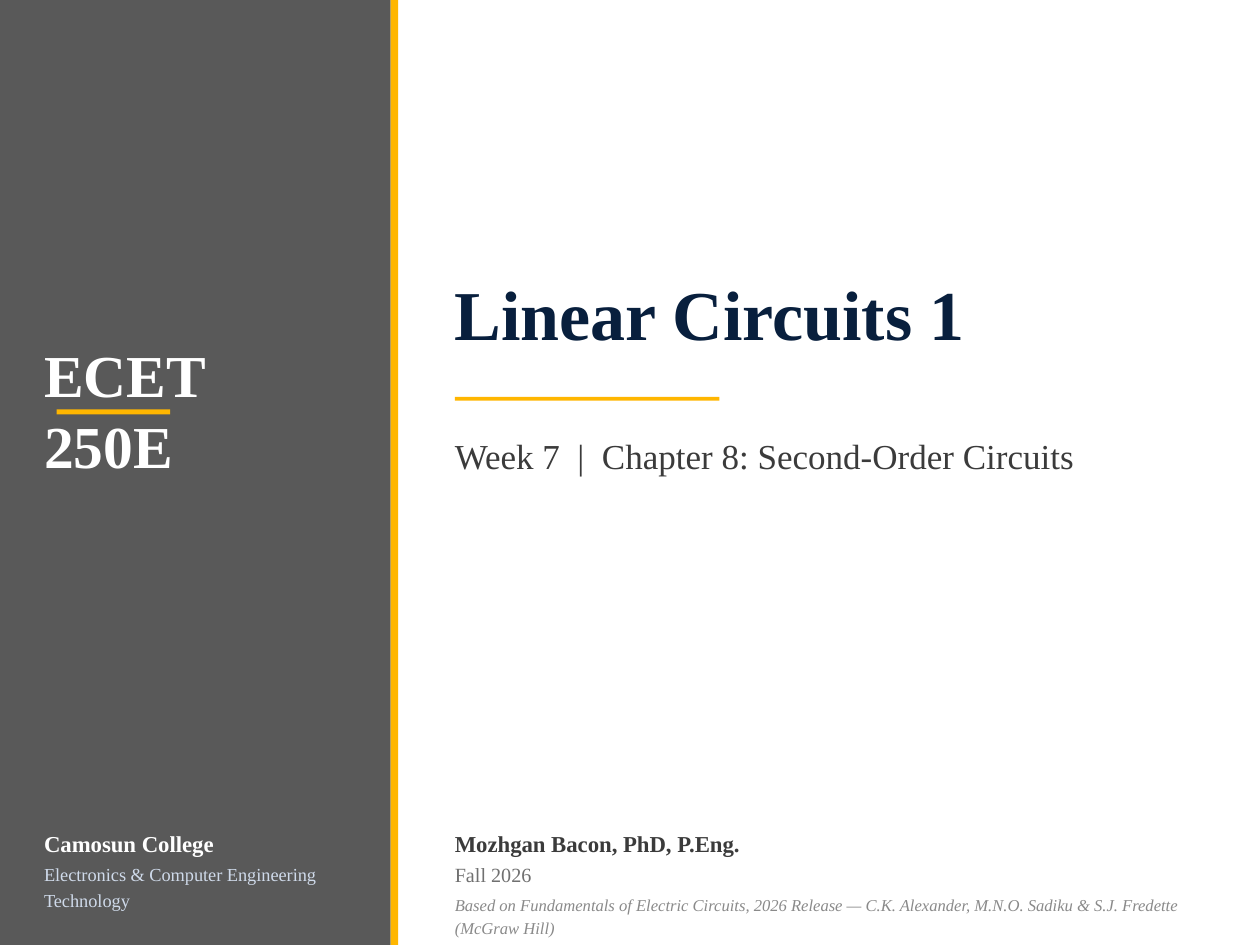
from collections import namedtuple

from pptx import Presentation
from pptx.dml.color import RGBColor
from pptx.enum.shapes import MSO_SHAPE as Shape
from pptx.enum.text import MSO_ANCHOR as Anchor
from pptx.util import Pt

WHITE = RGBColor(0xFF, 0xFF, 0xFF)
GRAY = RGBColor(0x59, 0x59, 0x59)
GOLD = RGBColor(0xFF, 0xB6, 0x00)
NAVY = RGBColor(0x08, 0x1F, 0x3D)
PALE_BLUE = RGBColor(0xCF, 0xDA, 0xEA)
INK = RGBColor(0x3B, 0x3B, 0x3B)
MID_GRAY = RGBColor(0x70, 0x70, 0x70)
LIGHT_GRAY = RGBColor(0x8A, 0x8A, 0x8A)

FONT = "Times New Roman"
PAGE_WIDTH, PAGE_HEIGHT = 720, 540
PANEL_WIDTH, STRIPE_WIDTH = 223.2, 4.32
FOOTER_TOP = 471.6

Box = namedtuple("Box", "left top width height")
Line = namedtuple("Line", "text size color bold italic spacing after",
                  defaults=(False, False, 1.15, 0))


def inside(region, left, top, width, height):
    """Return a box offset from the corner of its region."""
    return Box(region.left + left, region.top + top, width, height)


def add_bar(page, box, color):
    """Draw a plain filled rectangle."""
    bar = page.shapes.add_shape(Shape.RECTANGLE, *map(Pt, box))
    bar.shadow.inherit = False
    bar.fill.solid()
    bar.fill.fore_color.rgb = color
    bar.line.fill.background()


def add_text(page, box, lines, anchor=Anchor.TOP):
    """Place one paragraph per line in a box without margins."""
    frame = page.shapes.add_textbox(*map(Pt, box)).text_frame
    frame.word_wrap = True
    frame.vertical_anchor = anchor
    frame.margin_left = frame.margin_right = 0
    frame.margin_top = frame.margin_bottom = 0
    for index, line in enumerate(lines):
        para = frame.add_paragraph() if index else frame.paragraphs[0]
        para.text = line.text
        para.line_spacing = line.spacing
        para.space_after = Pt(line.after)
        font = para.font
        font.name, font.size = FONT, Pt(line.size)
        font.bold, font.italic = line.bold, line.italic
        font.color.rgb = line.color


def add_course_panel(page, box):
    """Build the dark panel with the course code and the college."""
    add_bar(page, box, GRAY)
    add_bar(page, inside(box, box.width, 0, STRIPE_WIDTH, box.height), GOLD)
    add_text(page, inside(box, 25.2, 183.6, 172.8, 100.8),
             [Line("ECET 250E", 34, WHITE, bold=True, spacing=1)], Anchor.MIDDLE)
    add_bar(page, inside(box, 32.4, 234, 64.8, 2.88), GOLD)
    add_text(page, inside(box, 25.2, FOOTER_TOP, 172.8, 50.4), [
        Line("Camosun College", 13, WHITE, bold=True, after=2),
        Line("Electronics & Computer Engineering Technology", 10.5, PALE_BLUE),
    ])


def add_title_area(page, box):
    """Build the title, subtitle, lecturer and source lines."""
    add_text(page, inside(box, 0, 154.8, box.width, 93.6),
             [Line("Linear Circuits 1", 40, NAVY, bold=True, spacing=1)])
    add_bar(page, inside(box, 0, 226.8, 151.2, 2.16), GOLD)
    add_text(page, inside(box, 0, 244.8, 450.72, 24.48),
             [Line("Week 7  |  Chapter 8: Second-Order Circuits", 20, INK)])
    add_text(page, inside(box, 0, FOOTER_TOP, box.width, 33.84), [
        Line("Mozhgan Bacon, PhD, P.Eng.", 13, INK, bold=True, after=1),
        Line("Fall 2026", 11.5, MID_GRAY),
    ])
    add_text(page, inside(box, 0, 509.76, box.width, 21.6), [
        Line("Based on Fundamentals of Electric Circuits, 2026 Release — "
             "C.K. Alexander, M.N.O. Sadiku & S.J. Fredette (McGraw Hill)",
             9.5, LIGHT_GRAY, italic=True),
    ])


def main():
    """Create the title slide and save it."""
    deck = Presentation()
    deck.slide_width, deck.slide_height = Pt(PAGE_WIDTH), Pt(PAGE_HEIGHT)
    page = deck.slides.add_slide(deck.slide_layouts[6])
    add_course_panel(page, Box(0, 0, PANEL_WIDTH, PAGE_HEIGHT))
    add_title_area(page, Box(259.92, 0, 427.68, PAGE_HEIGHT))
    deck.save("out.pptx")


if __name__ == "__main__":
    main()
